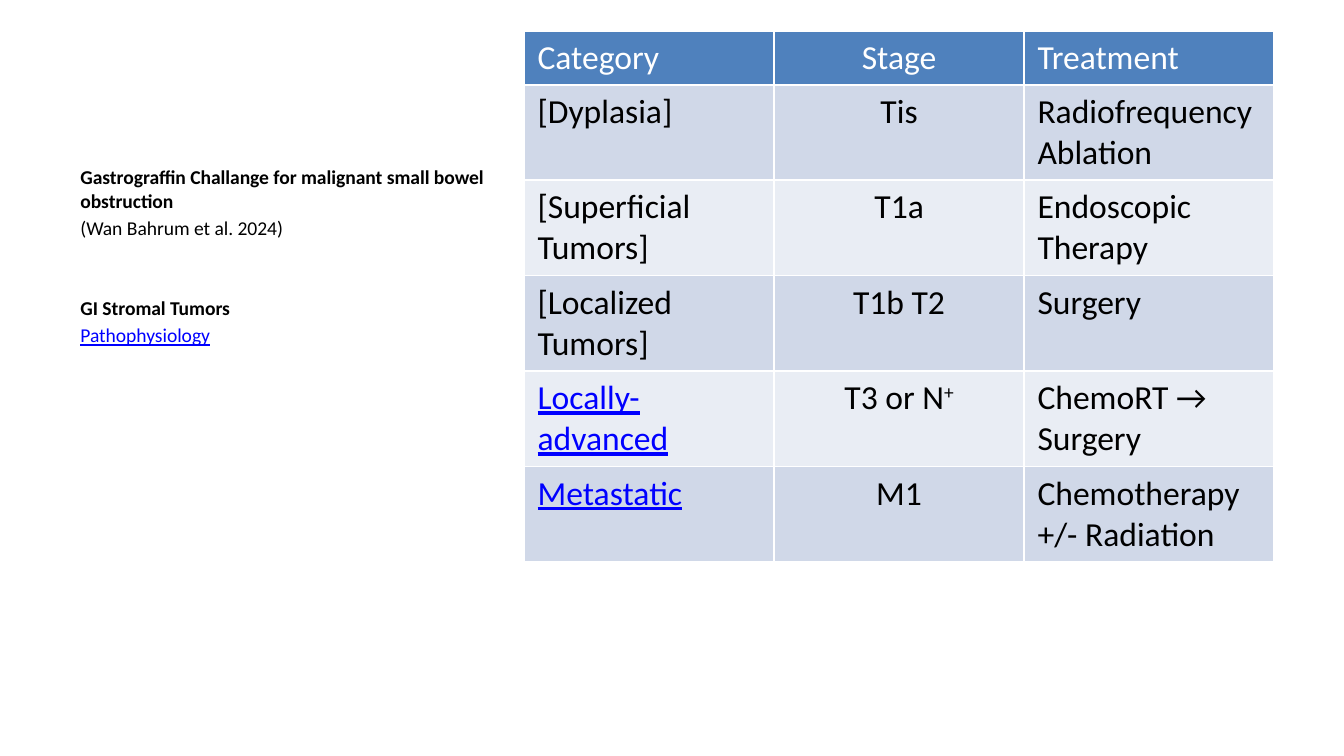
from pptx import Presentation
from pptx.dml.color import RGBColor
from pptx.enum import text
from pptx.util import Inches, Pt

BLACK, WHITE, LINK = "000000", "FFFFFF", "0000FF"


def rgb(value):
    return RGBColor.from_string(value)


def style(run, size, color, bold=False):
    run.font.name = "Calibri"
    run.font.size = Pt(size)
    run.font.bold = bold
    run.font.underline = color == LINK
    run.font.color.rgb = rgb(color)


# Widescreen slide, 16:9
prs = Presentation()
prs.slide_width = Inches(10)
prs.slide_height = Inches(10 * 9 / 16)
slide = prs.slides.add_slide(prs.slide_layouts[6])

# Topics on the left: wording, space before, colour, bold
topics = [
    ("Gastrograffin Challange for malignant small bowel obstruction", 0, BLACK, True),
    ("(Wan Bahrum et al. 2024)", 2.1, BLACK, False),
    ("GI Stromal Tumors", 30, BLACK, True),
    ("Pathophysiology", 2.1, LINK, False),
]
topic_frame = slide.shapes.add_textbox(
    Inches(0.5), Inches(1.18), Inches(3.29), Inches(3.85)).text_frame
topic_frame.word_wrap = True
topic_frame.text = "\n".join(topic[0] for topic in topics)
for paragraph, (_, space, color, bold) in zip(topic_frame.paragraphs, topics):
    paragraph.space_before = Pt(space)
    style(paragraph.runs[0], 10.5, color, bold)

# Treatment by stage; the default table style draws the white borders
stages = [
    ("Category", "Stage", "Treatment"),
    ("[Dyplasia]", "Tis", "Radiofrequency Ablation"),
    ("[Superficial Tumors]", "T1a", "Endoscopic Therapy"),
    ("[Localized Tumors]", "T1b T2", "Surgery"),
    ("Locally-advanced", "T3 or N", "ChemoRT → Surgery"),
    ("Metastatic", "M1", "Chemotherapy +/- Radiation"),
]
linked = ("Locally-advanced", "Metastatic")
table = slide.shapes.add_table(
    len(stages), 3, Inches(3.9), Inches(0.23), Inches(5.58), Inches(3.95)).table
for r, row in enumerate(stages):
    table.rows[r].height = Inches(0.71 if r else 0.4)
    band = "4F81BD" if r == 0 else "D0D8E8" if r % 2 else "E9EDF4"
    for c, wording in enumerate(row):
        cell = table.cell(r, c)
        cell.fill.solid()
        cell.fill.fore_color.rgb = rgb(band)
        cell.text_frame.text = wording
        paragraph = cell.text_frame.paragraphs[0]
        if c == 1:
            paragraph.alignment = text.PP_ALIGN.CENTER
        color = WHITE if r == 0 else LINK if wording in linked else BLACK
        style(paragraph.runs[0], 18, color)

# Superscript plus after "T3 or N"
plus = table.cell(4, 1).text_frame.paragraphs[0].add_run()
plus.text = "+"
style(plus, 18, BLACK)
plus.font._element.set("baseline", "30000")

prs.save("out.pptx")
